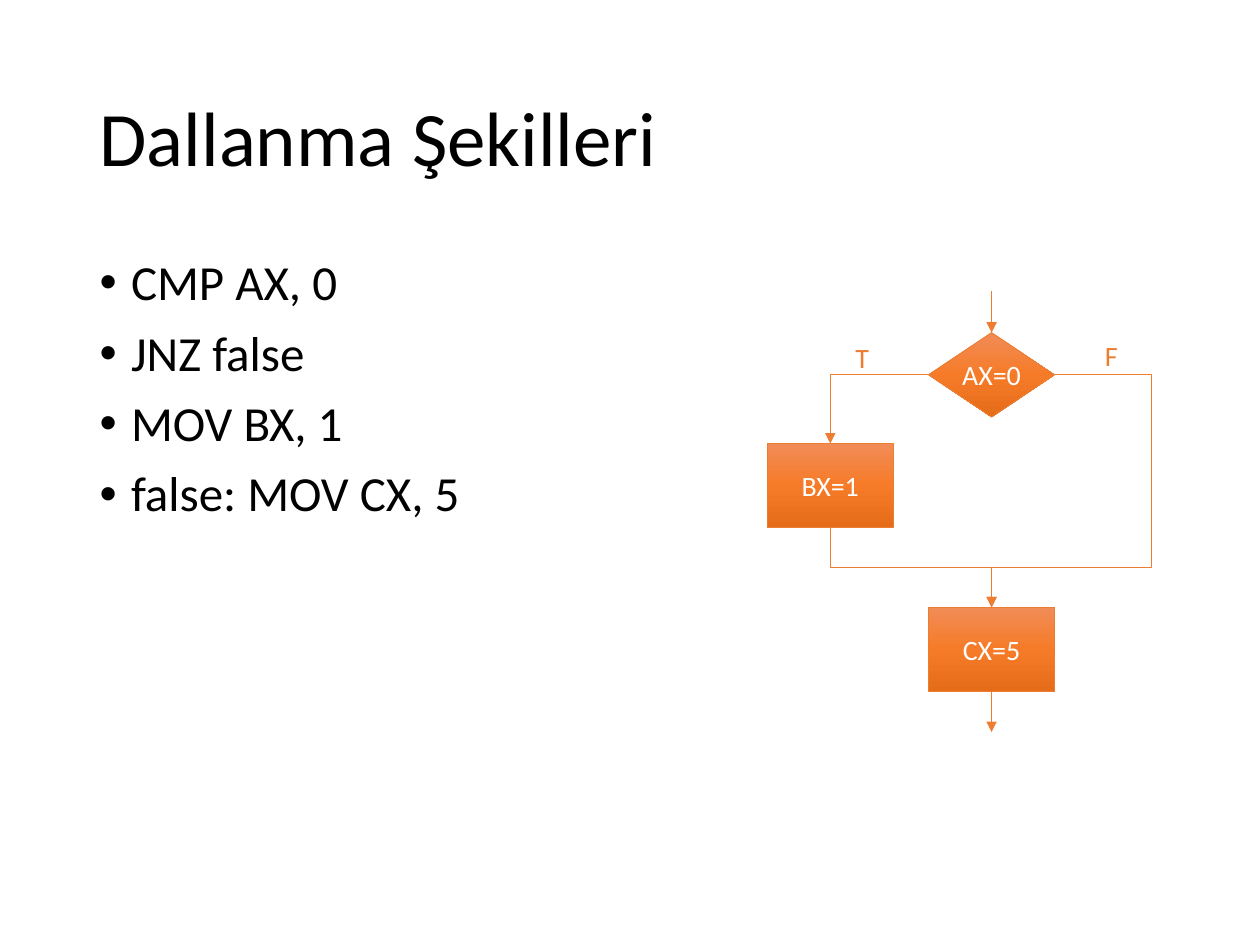
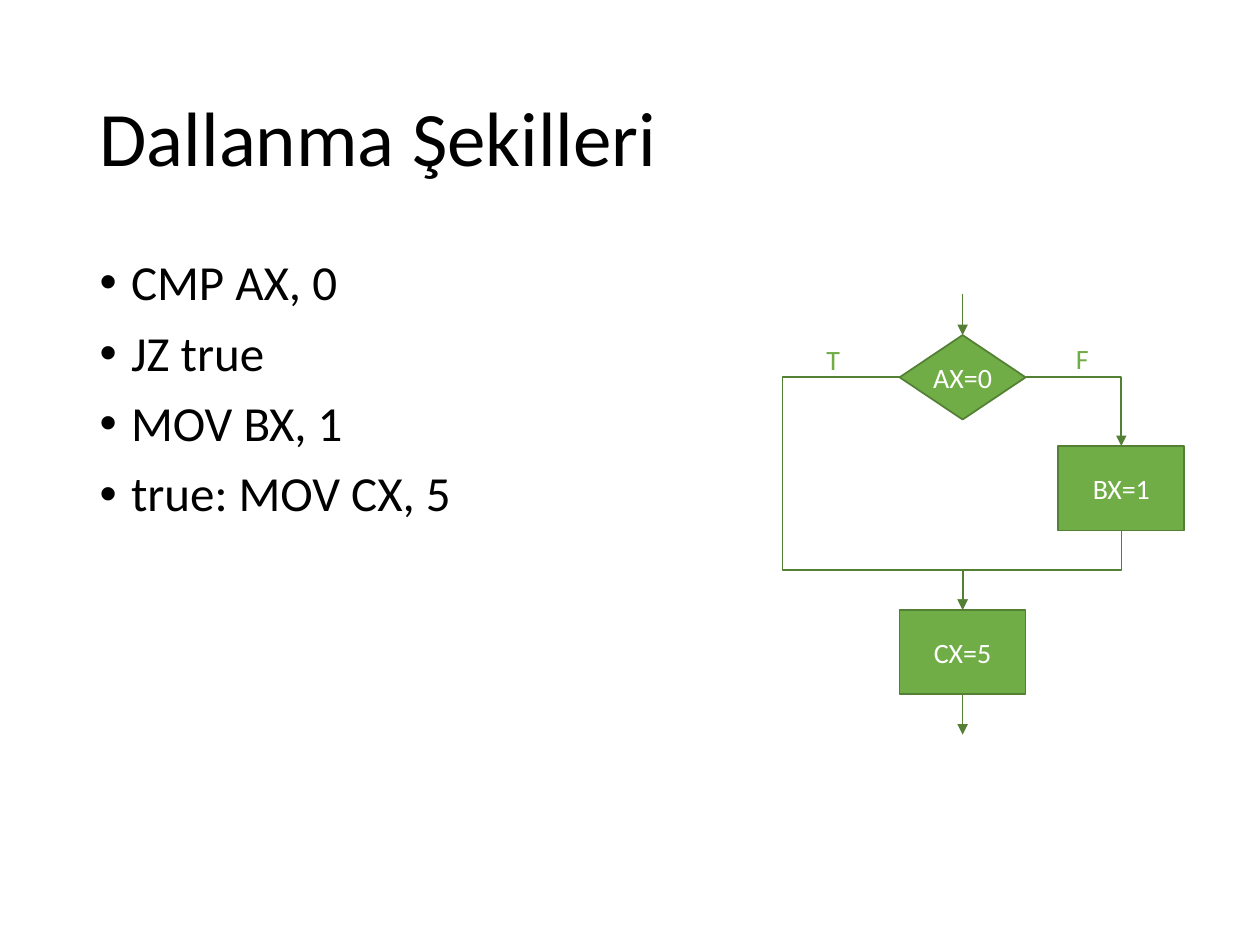
from copy import deepcopy
from dataclasses import dataclass

from lxml import etree
from pptx import Presentation
from pptx.dml.color import RGBColor
from pptx.enum.shapes import MSO_CONNECTOR, MSO_SHAPE
from pptx.enum.text import MSO_ANCHOR, MSO_AUTO_SIZE, PP_ALIGN
from pptx.oxml.ns import qn
from pptx.util import Inches, Pt

STRAIGHT, ELBOW = MSO_CONNECTOR.STRAIGHT, MSO_CONNECTOR.ELBOW
PROCESS, DECISION = MSO_SHAPE.FLOWCHART_PROCESS, MSO_SHAPE.FLOWCHART_DECISION
MIDDLE, TOP_ANCHOR = MSO_ANCHOR.MIDDLE, MSO_ANCHOR.TOP
LEFT, CENTER = PP_ALIGN.LEFT, PP_ALIGN.CENTER
FIT_SHAPE, NO_FIT = MSO_AUTO_SIZE.SHAPE_TO_FIT_TEXT, MSO_AUTO_SIZE.NONE


@dataclass(frozen=True)
class Theme:
    """Colours, font and type sizes of the deck."""
    font: str = "Calibri"
    ink: str = "000000"
    paper: str = "FFFFFF"
    title: int = 44
    body: int = 28
    label: int = 16


@dataclass(frozen=True)
class Palette:
    """Colours and line width of one flowchart."""
    fills: tuple
    line: str
    text: str
    width: float


THEME = Theme()
ORANGE = Palette(("F18C57", "F67B28", "E56C19"), "ED7D31", "ED7D31", 0.5)
GREEN = Palette(("70AD47",), "538035", "70AD47", 1)
TITLE_BOX = (0.69, 0.4, 8.62, 1.45)
BODY_BOX = (0.69, 2, 8.62, 4.76)
NODE_WIDTH, NODE_HEIGHT = 1, 0.67
DECISION_TOP, BRANCH_TOP, JOIN_TOP, CHART_HEIGHT = 0.33, 1.21, 2.51, 3.5
SLIDES = [
    {"code": ["CMP AX, 0", "JNZ false", "MOV BX, 1", "false: MOV CX, 5"],
     "origin": (7.87, 2.31), "branch": -1.28, "bypass": 1.27, "palette": ORANGE},
    {"code": ["CMP AX, 0", "JZ true", "MOV BX, 1", "true: MOV CX, 5"],
     "origin": (7.64, 2.33), "branch": 1.26, "bypass": -1.43, "palette": GREEN},
]


def apply(target, formats):
    """Set each attribute of the target from the format values."""
    for name, value in formats.items():
        setattr(target, name, value)


def write(para, text, size, color, **formats):
    """Write one formatted span into a paragraph."""
    span = para.add_run()
    span.text = text
    apply(span.font, {"name": THEME.font, "size": Pt(size)})
    span.font.color.rgb = RGBColor.from_string(color)
    apply(para, formats)


def place(shape, box):
    """Move a shape to a box given in inches."""
    apply(shape, dict(zip(("left", "top", "width", "height"), map(Inches, box))))


def add_title(page, text):
    """Fill the title placeholder."""
    title = page.shapes.title
    place(title, TITLE_BOX)
    apply(title.text_frame, {"vertical_anchor": MIDDLE, "auto_size": NO_FIT})
    write(title.text_frame.paragraphs[0], text, THEME.title, THEME.ink,
          alignment=LEFT, line_spacing=0.9)


def add_code_list(page, lines):
    """Fill the body placeholder with one bullet per instruction."""
    body = page.placeholders[1]
    place(body, BODY_BOX)
    frame = body.text_frame
    apply(frame, {"vertical_anchor": TOP_ANCHOR, "auto_size": NO_FIT})
    for index, line in enumerate(lines):
        para = frame.add_paragraph() if index else frame.paragraphs[0]
        properties = para._p.get_or_add_pPr()
        properties.set("marL", str(Inches(0.25)))
        properties.set("indent", str(-Inches(0.25)))
        write(para, line, THEME.body, THEME.ink, line_spacing=0.9,
              space_before=Pt(10 if index else 0))


def paint(shape, colors):
    """Fill a shape with one colour or an even vertical gradient."""
    fill = shape.fill
    if len(colors) == 1:
        fill.solid()
        fill.fore_color.rgb = RGBColor.from_string(colors[0])
        return
    fill.gradient()
    fill.gradient_angle = 270
    stops = shape.element.spPr.find(".//" + qn("a:gsLst"))
    while len(stops) < len(colors):
        stops.insert(1, deepcopy(stops[0]))
    for index, (stop, color) in enumerate(zip(fill.gradient_stops, colors)):
        stop.position = index / (len(colors) - 1)
        stop.color.rgb = RGBColor.from_string(color)


def style_line(line, palette):
    """Give a line the palette's colour and width."""
    line.color.rgb = RGBColor.from_string(palette.line)
    line.width = Pt(palette.width)


def add_node(page, kind, center, top, text, palette):
    """Add a flowchart node centred on a column."""
    node = page.shapes.add_shape(kind, *map(Inches, (
        center - NODE_WIDTH / 2, top, NODE_WIDTH, NODE_HEIGHT)))
    node.shadow.inherit = False
    paint(node, palette.fills)
    style_line(node.line, palette)
    frame = node.text_frame
    apply(frame, {"vertical_anchor": MIDDLE, "word_wrap": True})
    if kind == DECISION:
        apply(frame, {"margin_left": 0, "margin_right": 0})
    write(frame.paragraphs[0], text, THEME.label, THEME.paper, alignment=CENTER)
    return node


def add_arrow(page, kind, start, end, palette):
    """Add a connector with a triangle at its end."""
    arrow = page.shapes.add_connector(kind, *map(Inches, (*start, *end)))
    style_line(arrow.line, palette)
    etree.SubElement(arrow.line._get_or_add_ln(), qn("a:tailEnd"), type="triangle")
    etree.SubElement(arrow.element.spPr, qn("a:effectLst"))
    return arrow


def add_side_arrow(page, start, end, palette, bends=2, adjusts=()):
    """Add an elbow arrow that leaves sideways and arrives from above."""
    arrow = add_arrow(page, ELBOW, start, end, palette)
    geometry = arrow.element.spPr.find(qn("a:prstGeom"))
    geometry.set("prst", f"bentConnector{bends}")
    guides = geometry.find(qn("a:avLst"))
    for index, value in enumerate(adjusts, 1):
        etree.SubElement(guides, qn("a:gd"), name=f"adj{index}",
                         fmla=f"val {round(value * 100000)}")


def add_down_arrow(page, start, end, palette):
    """Add an elbow arrow that leaves and arrives vertically."""
    across, down = end[0] - start[0], end[1] - start[1]
    center_x, center_y = (start[0] + end[0]) / 2, (start[1] + end[1]) / 2
    sign = 1 if across > 0 else -1
    arrow = add_arrow(page, ELBOW,
                      (center_x + sign * down / 2, center_y - abs(across) / 2),
                      (center_x - sign * down / 2, center_y + abs(across) / 2), palette)
    turn = 270 if across > 0 else 90
    arrow.element.spPr.find(qn("a:xfrm")).set("rot", str(turn * 60000))


def add_label(page, left, top, text, palette):
    """Add a branch label."""
    label = page.shapes.add_textbox(*map(Inches, (left, top, 0.31, 0.37)))
    apply(label.text_frame, {"word_wrap": False, "auto_size": FIT_SHAPE})
    write(label.text_frame.paragraphs[0], text, THEME.label, palette.text)


def add_flowchart(page, origin, branch, bypass, palette):
    """Draw the decision, its branch and its bypass below the origin."""
    center, top = origin
    decision_top, branch_top, join_top = (
        top + offset for offset in (DECISION_TOP, BRANCH_TOP, JOIN_TOP))
    branch_x = center + branch
    add_node(page, PROCESS, branch_x, branch_top, "BX=1", palette)
    join = add_node(page, PROCESS, center, join_top, "CX=5", palette)
    decision = add_node(page, DECISION, center, decision_top, "AX=0", palette)

    entry = add_arrow(page, STRAIGHT, origin, (center, decision_top), palette)
    entry.end_connect(decision, 0)
    leave = add_arrow(page, STRAIGHT, (center, join_top + NODE_HEIGHT),
                      (center, top + CHART_HEIGHT), palette)
    leave.begin_connect(join, 2)

    half = NODE_WIDTH / 2
    side = half if branch > 0 else -half
    middle = decision_top + NODE_HEIGHT / 2
    branch_bottom = branch_top + NODE_HEIGHT
    merge = (branch_bottom + join_top) / 2
    add_down_arrow(page, (branch_x, branch_bottom), (center, join_top), palette)
    add_side_arrow(page, (center + side, middle), (branch_x, branch_top), palette)
    add_side_arrow(page, (center - side, middle), (center, join_top), palette, 4,
                   ((bypass + side) / side, (merge - middle) / (join_top - middle)))
    add_label(page, center - 1.18, top + 0.34, "T", palette)
    add_label(page, center + 0.8, top + 0.33, "F", palette)


def main():
    """Build and save the deck."""
    deck = Presentation()
    apply(deck, {"slide_width": Inches(10), "slide_height": Inches(7.5)})
    for content in SLIDES:
        page = deck.slides.add_slide(deck.slide_layouts[1])
        add_title(page, "Dallanma Şekilleri")
        add_code_list(page, content["code"])
        add_flowchart(page, content["origin"], content["branch"],
                      content["bypass"], content["palette"])
    deck.save("out.pptx")


if __name__ == "__main__":
    main()
